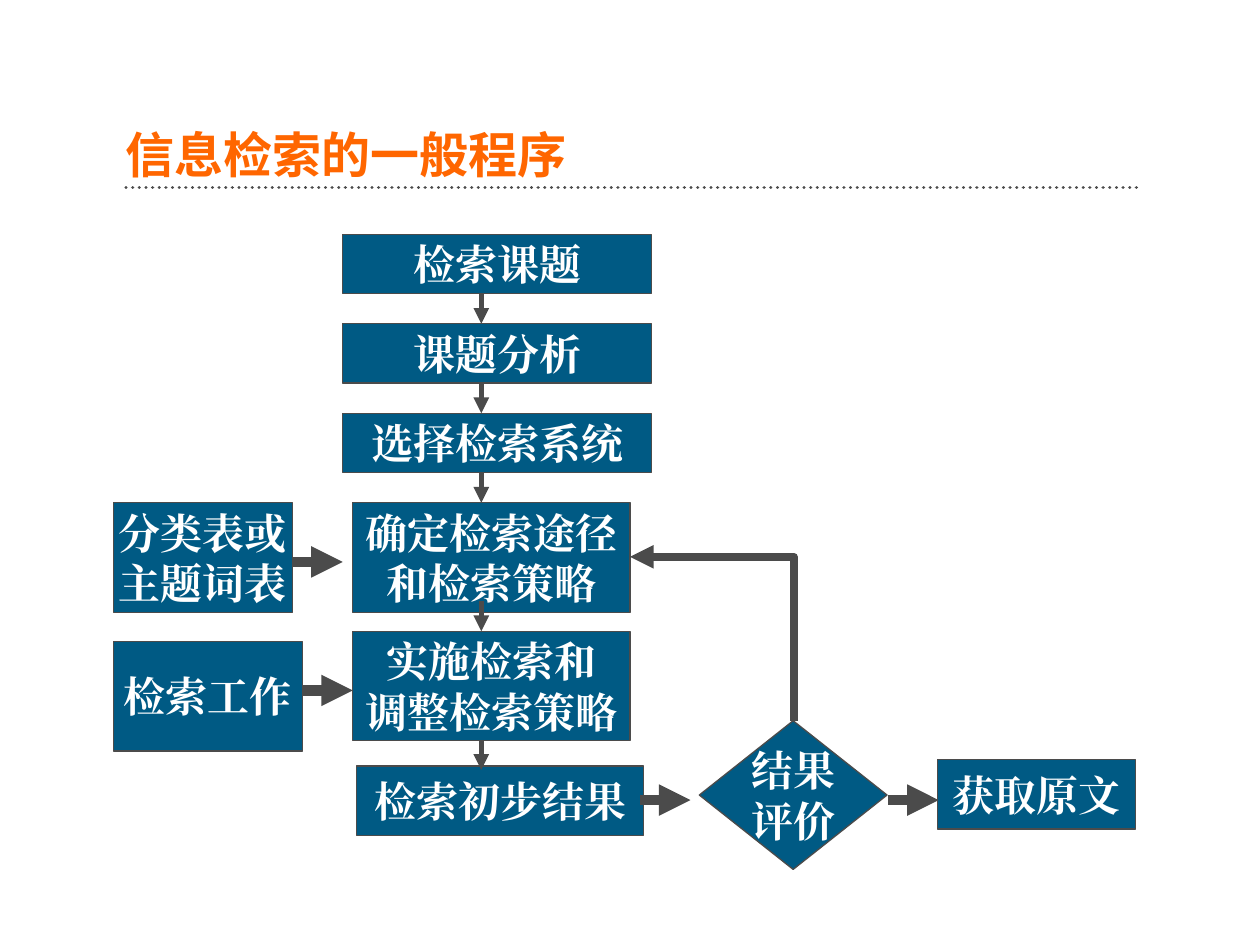
from lxml import etree
from pptx import Presentation
from pptx.dml.color import RGBColor
from pptx.enum.dml import MSO_LINE
from pptx.enum.shapes import MSO_CONNECTOR, MSO_SHAPE
from pptx.enum.text import MSO_ANCHOR, PP_ALIGN
from pptx.oxml.ns import qn
from pptx.util import Inches, Pt

PROCESS = MSO_SHAPE.FLOWCHART_PROCESS
DECISION = MSO_SHAPE.FLOWCHART_DECISION
STRAIGHT = MSO_CONNECTOR.STRAIGHT
ELBOW = MSO_CONNECTOR.ELBOW
DOTTED = MSO_LINE.ROUND_DOT
CENTER = PP_ALIGN.CENTER
LEFT = PP_ALIGN.LEFT
MIDDLE = MSO_ANCHOR.MIDDLE
BOTTOM = MSO_ANCHOR.BOTTOM

COLORS = {"title": "FF6600", "box": "005A84", "line": "4B4B4B", "label": "FFFFFF"}
COLUMNS, ROWS = 100, 75
CELL = Inches(10) / COLUMNS

TITLE_FONT = {"name": "Noto Sans CJK SC", "size": Pt(28), "bold": True}
LABEL_FONT = {"name": "Times New Roman", "size": Pt(24), "bold": True}
TITLE_FRAME = {"margin_left": 0, "margin_right": 0, "margin_top": 0,
               "margin_bottom": 0, "vertical_anchor": BOTTOM, "word_wrap": True}
LABEL_FRAME = {"vertical_anchor": MIDDLE, "word_wrap": False}

STEP_LEFT, STEP_WIDTH, STEP_HEIGHT = 27.2, 24.5, 4.7
STEP_TOP, STEP_PITCH = 18.6, 7.1
TALL = 8.7
STEPS = ["检索课题", "课题分析", "选择检索系统"]
BOXES = [
    (28, 39.9, 22, TALL, "确定检索途径\n和检索策略", PROCESS),
    (28, 50.1, 22, TALL, "实施检索和\n调整检索策略", PROCESS),
    (9, 50.9, 15, TALL, "检索工作", PROCESS),
    (9, 39.9, 14.2, TALL, "分类表或\n主题词表", PROCESS),
    (28.3, 60.8, 22.8, 5.5, "检索初步结果", PROCESS),
    (55.5, 57.2, 14.9, 11.8, "结果\n评价", DECISION),
    (74.4, 60.3, 15.7, 5.5, "获取原文", PROCESS),
]
FLOW_COLUMN, FLOW_LENGTH = 38.2, 2.4
FLOW_ENDS = [25.7, 32.8, 39.9, 50.1, 61.1]
SIDE_LENGTH = 4
SIDE_STARTS = [(24, 54.8), (23.2, 44.6), (50.8, 63.5), (70.5, 63.5)]


def grid(*cells):
    return [round(cell * CELL) for cell in cells]


def apply(target, values):
    for attribute, value in values.items():
        setattr(target, attribute, value)


def write(frame, text, frame_format, font_format, color, align):
    apply(frame, frame_format)
    frame.text = text
    for paragraph in frame.paragraphs:
        paragraph.alignment = align
        for run in paragraph.runs:
            apply(run.font, font_format)
            run.font.color.rgb = RGBColor.from_string(COLORS[color])
            east_asian = etree.SubElement(run.font._element, qn("a:ea"))
            east_asian.set("typeface", font_format["name"])


def add_title(slide, text):
    title = slide.shapes.add_textbox(*grid(10, 5.5, 80.6, 9.1))
    write(title.text_frame, text, TITLE_FRAME, TITLE_FONT, "title", LEFT)
    title.text_frame.paragraphs[0].line_spacing = 0.9


def add_box(slide, left, top, width, height, text, outline):
    box = slide.shapes.add_shape(outline, *grid(left, top, width, height))
    box.shadow.inherit = False
    box.fill.solid()
    box.fill.fore_color.rgb = RGBColor.from_string(COLORS["box"])
    box.line.color.rgb = RGBColor.from_string(COLORS["line"])
    box.line.width = Pt(0.75)
    write(box.text_frame, text, LABEL_FRAME, LABEL_FONT, "label", CENTER)


def add_line(slide, start, end, weight, kind=STRAIGHT):
    line = slide.shapes.add_connector(kind, *grid(*start, *end))
    line.line.color.rgb = RGBColor.from_string(COLORS["line"])
    line.line.width = Pt(weight)
    etree.SubElement(line._element.spPr, qn("a:effectLst"))
    return line


def add_arrow(slide, start, end, weight, kind=STRAIGHT):
    arrow = add_line(slide, start, end, weight, kind)
    head = etree.SubElement(arrow.line._ln, qn("a:tailEnd"))
    head.set("type", "triangle")
    return arrow


def add_rule(slide):
    rule = add_line(slide, (10, 14.9), (90.6, 14.9), 1.9)
    rule.line.dash_style = DOTTED
    rule.line._ln.set("cap", "rnd")


def add_feedback(slide):
    feedback = add_arrow(slide, (50, 44.2), (63, 57.2), 4.5, ELBOW)
    properties = feedback._element.spPr
    properties.find(qn("a:prstGeom")).set("prst", "bentConnector2")
    apply_turn = properties.find(qn("a:xfrm")).set
    apply_turn("rot", str(270 * 60000))
    apply_turn("flipV", "1")


def main():
    presentation = Presentation()
    presentation.slide_width, presentation.slide_height = grid(COLUMNS, ROWS)
    slide = presentation.slides.add_slide(presentation.slide_layouts[6])

    add_rule(slide)
    add_title(slide, "信息检索的一般程序")
    for row, step in enumerate(STEPS):
        top = STEP_TOP + row * STEP_PITCH
        add_box(slide, STEP_LEFT, top, STEP_WIDTH, STEP_HEIGHT, step, PROCESS)
    for box in BOXES:
        add_box(slide, *box)

    add_arrow(slide, (39.4, 23.3), (39.4, 23.3), 0.75)
    for end in FLOW_ENDS:
        add_arrow(slide, (FLOW_COLUMN, end - FLOW_LENGTH), (FLOW_COLUMN, end), 3)
    for left, row in SIDE_STARTS:
        add_arrow(slide, (left, row), (left + SIDE_LENGTH, row), 6)
    add_feedback(slide)

    presentation.save("out.pptx")


if __name__ == "__main__":
    main()
